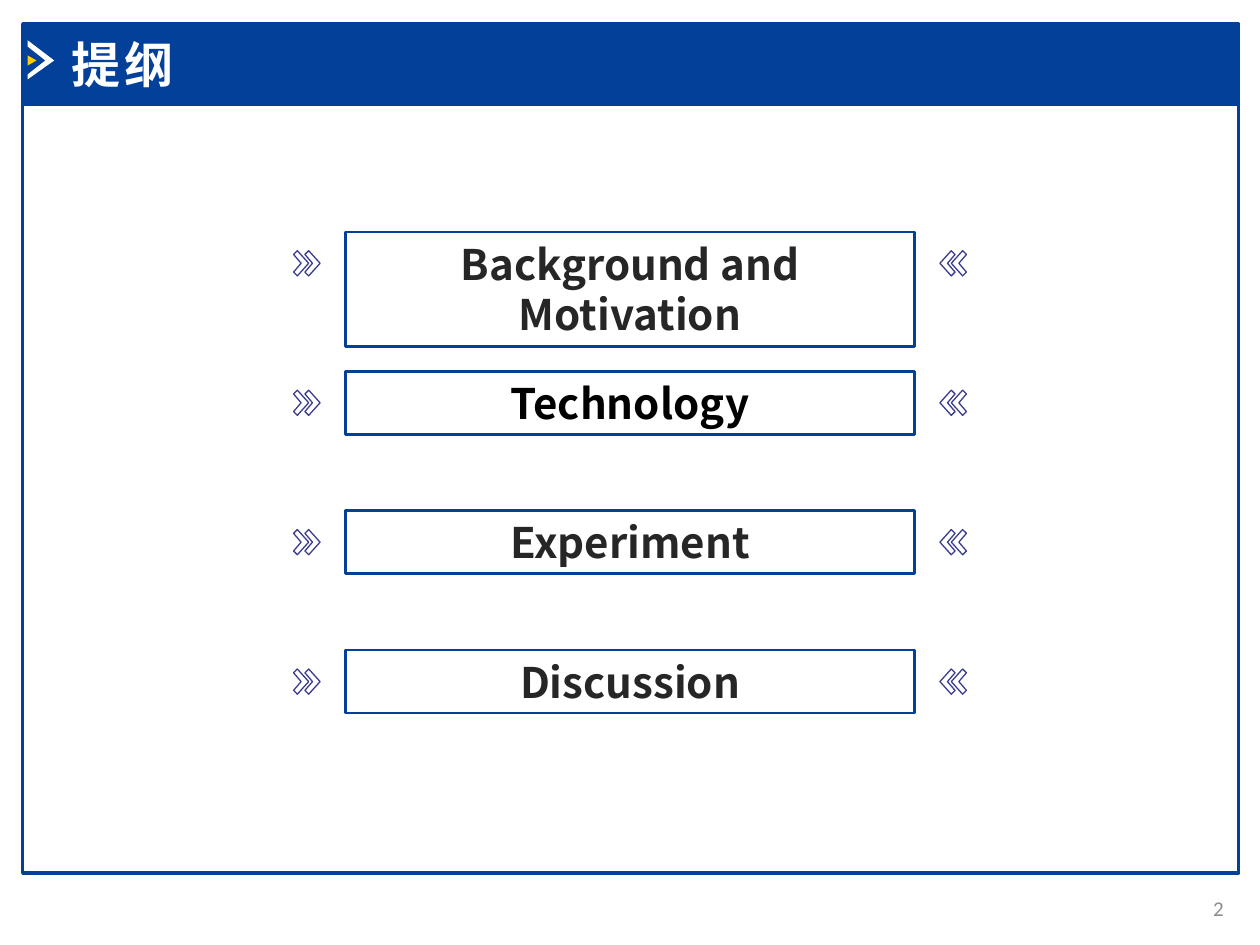
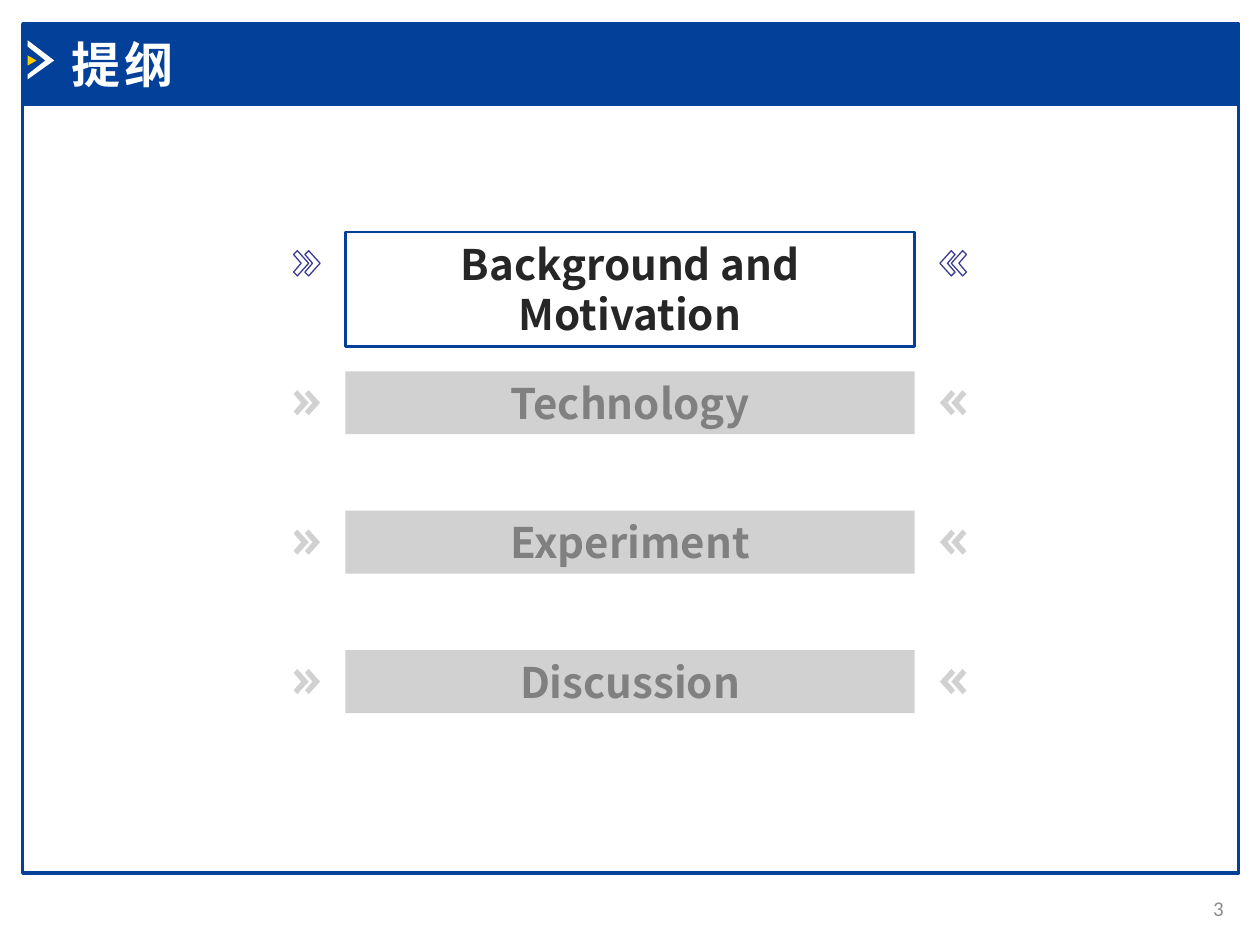
"""Build two outline slides: the full outline, then the first topic highlighted."""
from dataclasses import dataclass
from typing import Optional

import pptx
import pptx.dml.color
import pptx.enum.lang
import pptx.enum.shapes
import pptx.enum.text
import pptx.oxml.ns
import pptx.util
from pptx.dml.color import RGBColor
from pptx.util import Inches

BLUE = RGBColor(0x02, 0x40, 0x9A)
INDIGO = RGBColor(0x3C, 0x3C, 0x8E)
YELLOW = RGBColor(0xFF, 0xCC, 0x00)
WHITE = RGBColor(0xFF, 0xFF, 0xFF)
BLACK = RGBColor(0x00, 0x00, 0x00)
DARK = RGBColor(0x26, 0x26, 0x26)
DIM_TEXT = RGBColor(0x80, 0x80, 0x80)
DIM_FILL = RGBColor(0xA5, 0xA5, 0xA5)
NUMBER_GREY = RGBColor(0x8C, 0x8C, 0x8C)

TITLE_FONT = "Calibri"
TOPIC_FONT = "Noto Sans CJK SC"
SLIDE_W, SLIDE_H = 10, 7.5
BOX_LEFT, BOX_WIDTH = 2.74, 4.52
FIRST_TOP, LAST_TOP = 1.84, 5.16
CHEVRON_LEFTS = (2.33, 2.42)
CHEVRON = ((0.03, -0.1), (0, -0.07), (0.06, 0), (0, 0.07), (0.03, 0.1), (0.12, 0))
HEADER_ARROW = ((0.22, 0.32), (0.22, 0.37), (0.36, 0.48), (0.22, 0.59), (0.22, 0.63), (0.43, 0.48))
HEADER_TIP = ((0.22, 0.44), (0.22, 0.52), (0.29, 0.48))

ALIGN = pptx.enum.text.PP_ALIGN
ANCHOR = pptx.enum.text.MSO_ANCHOR
FIT_SHAPE = pptx.enum.text.MSO_AUTO_SIZE.SHAPE_TO_FIT_TEXT


@dataclass(frozen=True)
class Look:
    """Fill and outline of a shape."""
    fill: Optional[RGBColor] = None
    alpha: int = 100
    line: Optional[RGBColor] = None
    width: float = 1


@dataclass(frozen=True)
class Topic:
    """One boxed entry of the outline."""
    text: str
    height: float = 0.5
    color: RGBColor = DARK


FRAME = Look(line=BLUE, width=2)
BAND = Look(fill=BLUE, line=BLUE, width=2)
ACTIVE_BOX = Look(line=BLUE, width=1.5)
ACTIVE_CHEVRON = Look(line=INDIGO, width=0.75)
DIMMED = Look(fill=DIM_FILL, alpha=50)

TOPICS = (
    Topic("Background and Motivation", height=0.91),
    Topic("Technology", color=BLACK),
    Topic("Experiment"),
    Topic("Discussion"),
)


def put_text(tf, text: str, *, size: float, color: RGBColor, font: str = TITLE_FONT,
             bold: bool = False, align=ALIGN.LEFT, anchor=ANCHOR.TOP, fit=None):
    """Write one formatted run into a text frame and return the run."""
    tf.word_wrap = True
    tf.vertical_anchor = anchor
    if fit is not None:
        tf.auto_size = fit
    p = tf.paragraphs[0]
    p.alignment = align
    r = p.add_run()
    r.text = text
    r.font.name = font
    r.font.size = pptx.util.Pt(size)
    r.font.bold = bold
    r.font.color.rgb = color
    return r


def apply_look(sp, look: Look):
    """Give a shape its fill and outline, without a shadow."""
    sp.shadow.inherit = False
    if look.fill is None:
        sp.fill.background()
    else:
        sp.fill.solid()
        sp.fill.fore_color.rgb = look.fill
        if look.alpha < 100:
            clr = sp.element.spPr.find(".//" + pptx.oxml.ns.qn("a:srgbClr"))
            alpha = pptx.oxml.parse_xml(
                f'<a:alpha {pptx.oxml.ns.nsdecls("a")} val="{look.alpha * 1000}"/>')
            clr.append(alpha)
    if look.line is None:
        sp.line.fill.background()
    else:
        sp.line.color.rgb = look.line
        sp.line.width = pptx.util.Pt(look.width)
    return sp


def add_box(s, left: float, top: float, width: float, height: float, look: Look):
    """Add a rectangle."""
    sp = s.shapes.add_shape(pptx.enum.shapes.MSO_SHAPE.RECTANGLE, Inches(left),
                            Inches(top), Inches(width), Inches(height))
    return apply_look(sp, look)


def add_polygon(s, points, look: Look):
    """Add a closed outline through points given in inches."""
    start, *rest = [(Inches(x), Inches(y)) for x, y in points]
    builder = s.shapes.build_freeform(*start, scale=1.0)
    builder.add_line_segments(rest, close=True)
    return apply_look(builder.convert_to_shape(), look)


def move_frame_to_layout(s, layout) -> None:
    """Draw the frame and header band, then hand them to the layout."""
    for ph in list(layout.placeholders):
        if ph.placeholder_format.idx != 0:
            ph.element.getparent().remove(ph.element)
    parts = (
        add_box(s, 0.18, 0.83, 9.65, 6.1, FRAME),
        add_box(s, 0.18, 0.19, 9.65, 0.64, BAND),
        add_polygon(s, HEADER_ARROW, Look(fill=WHITE)),
        add_polygon(s, HEADER_TIP, Look(fill=YELLOW)),
    )
    for sp in parts:
        layout.shapes.element.append(sp.element)


def add_title(s, text: str) -> None:
    """Place the title over the header band."""
    sp = s.shapes.title
    sp.left, sp.top, sp.width, sp.height = map(Inches, (0.47, 0.22, 3.56, 0.57))
    r = put_text(sp.text_frame, text, size=28, color=WHITE, bold=True, fit=FIT_SHAPE)
    r.font.language_id = pptx.enum.lang.MSO_LANGUAGE_ID.SIMPLIFIED_CHINESE
    r.font._element.set("spc", "200")


def add_number(s, number: int) -> None:
    """Add the slide number below the frame."""
    sp = s.shapes.add_textbox(Inches(9.22), Inches(7.01), Inches(0.59), Inches(0.4))
    put_text(sp.text_frame, str(number), size=12, color=NUMBER_GREY,
             align=ALIGN.RIGHT, anchor=ANCHOR.MIDDLE)


def add_topic(s, topic: Topic, top: float, active: bool) -> None:
    """Add a topic box with mirrored double chevrons on both sides."""
    sp = add_box(s, BOX_LEFT, top, BOX_WIDTH, topic.height,
                 ACTIVE_BOX if active else DIMMED)
    put_text(sp.text_frame, topic.text, size=24, font=TOPIC_FONT, bold=True,
             color=topic.color if active else DIM_TEXT, align=ALIGN.CENTER, fit=FIT_SHAPE)
    look = ACTIVE_CHEVRON if active else DIMMED
    for left in CHEVRON_LEFTS:
        points = [(left + dx, top + 0.25 + dy) for dx, dy in CHEVRON]
        add_polygon(s, points, look)
        add_polygon(s, [(SLIDE_W - x, y) for x, y in points], look)


def main() -> None:
    """Build and save the presentation."""
    prs = pptx.Presentation()
    prs.slide_width, prs.slide_height = Inches(SLIDE_W), Inches(SLIDE_H)
    layout = prs.slide_layouts.get_by_name("Title Only")
    step = (LAST_TOP - FIRST_TOP) / (len(TOPICS) - 1)
    for number, active_topics in ((2, TOPICS), (3, TOPICS[:1])):
        s = prs.slides.add_slide(layout)
        if len(prs.slides) == 1:
            move_frame_to_layout(s, layout)
        add_title(s, "提纲")
        add_number(s, number)
        for i, topic in enumerate(TOPICS):
            add_topic(s, topic, FIRST_TOP + i * step, topic in active_topics)
    prs.save("out.pptx")


if __name__ == "__main__":
    main()
